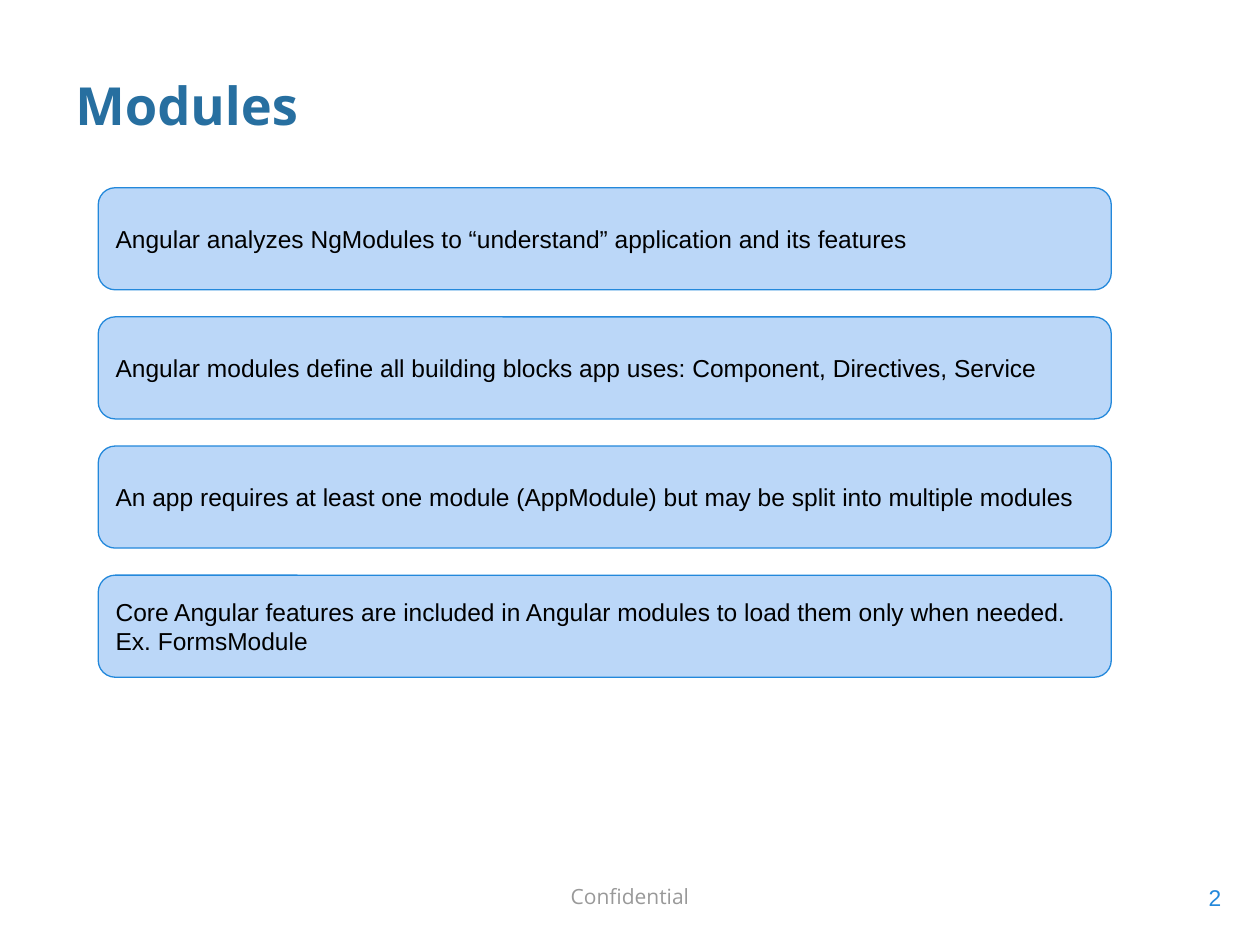
from pptx import Presentation, util as u
from pptx.dml.color import RGBColor
from pptx.enum import shapes, text

NAVY = RGBColor(0x27, 0x6F, 0xA0)
BLUE = RGBColor(0x23, 0x88, 0xDB)
PALE = RGBColor(0xBB, 0xD7, 0xF8)
GREY = RGBColor(0x99, 0x99, 0x99)
BLACK = RGBColor(0, 0, 0)
LEFT, MID, RIGHT = text.PP_ALIGN.LEFT, text.PP_ALIGN.CENTER, text.PP_ALIGN.RIGHT
TOP, HALF, LOW = text.MSO_ANCHOR.TOP, text.MSO_ANCHOR.MIDDLE, text.MSO_ANCHOR.BOTTOM

deck = Presentation()
deck.slide_width, deck.slide_height = u.Inches(10), u.Inches(7.5)
slide = deck.slides.add_slide(deck.slide_layouts[6])


def write(shape, words, size, font, color, align=LEFT, anchor=HALF, bold=False):
    frame = shape.text_frame
    frame.text = words
    frame.word_wrap = True
    frame.vertical_anchor = anchor
    frame.margin_left = frame.margin_right = u.Inches(0.1)
    frame.margin_top = frame.margin_bottom = u.Inches(0.1)
    line = frame.paragraphs[0]
    line.alignment = align
    face = line.runs[0].font
    face.size, face.name, face.bold = u.Pt(size), font, bold
    face.color.rgb = color


labels = [
    ((3.28, 6.91, 3.44, 0.38), "Confidential", 12, "Open Sans", GREY, MID, TOP, False),
    ((0.5, 0.3, 9, 0.88), "Modules", 30, "Open Sans", NAVY, LEFT, LOW, True),
    ((9.19, 6.84, 0.6, 0.57), "2", 13, "Arial", BLUE, RIGHT, HALF, False),
]
for place, *style in labels:
    write(slide.shapes.add_textbox(*map(u.Inches, place)), *style)

facts = [
    "Angular analyzes NgModules to “understand” application and its features",
    "Angular modules define all building blocks app uses: Component, Directives, Service",
    "An app requires at least one module (AppModule) but may be split into multiple modules",
    "Core Angular features are included in Angular modules to load them only when needed. Ex. FormsModule",
]
first, pitch = u.Inches(1.49), u.Inches(1.025)
for row, fact in enumerate(facts):
    card = slide.shapes.add_shape(
        shapes.MSO_SHAPE.ROUNDED_RECTANGLE,
        u.Inches(0.78), first + row * pitch, u.Inches(8.04), u.Inches(0.81))
    card.shadow.inherit = False
    card.fill.solid()
    card.fill.fore_color.rgb = PALE
    card.line.color.rgb = BLUE
    card.line.width = u.Pt(0.75)
    write(card, fact, 14, "Arial", BLACK)

deck.save("out.pptx")
